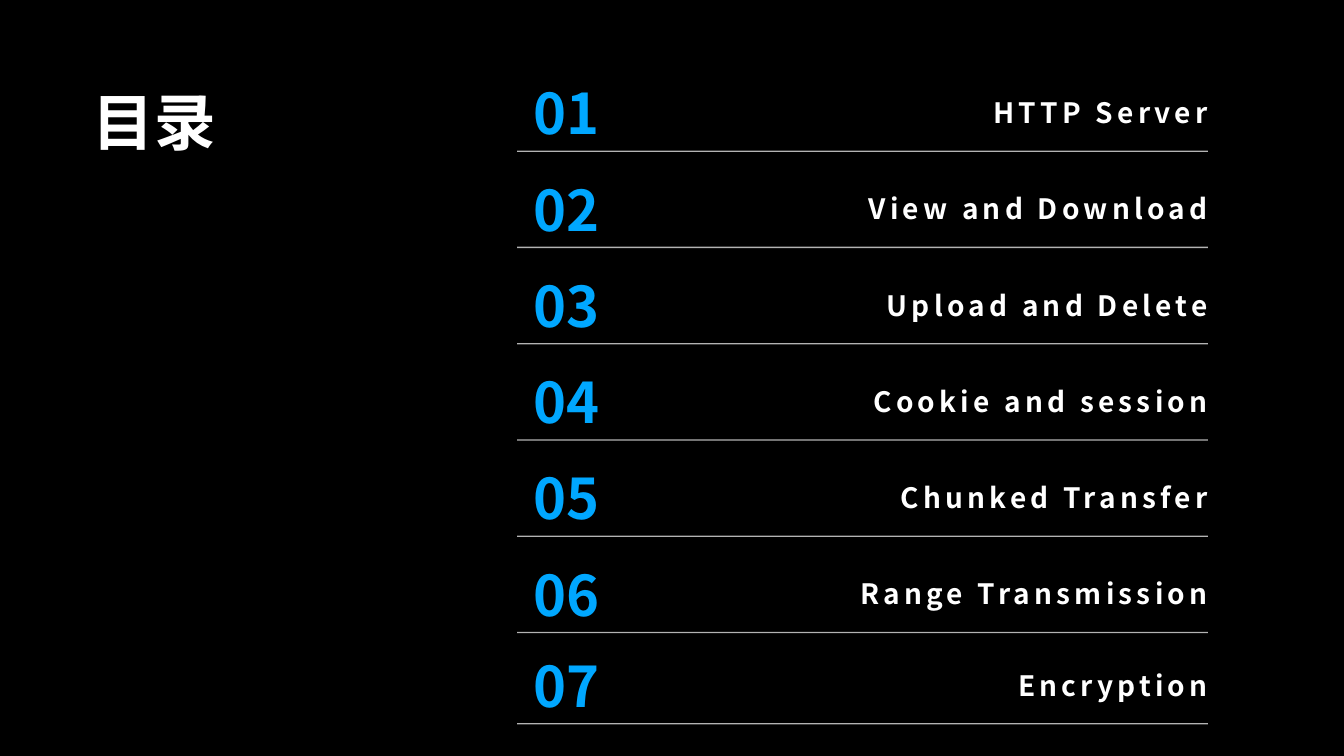
from lxml import etree
from pptx import Presentation
from pptx.dml.color import RGBColor
from pptx.enum.shapes import MSO_CONNECTOR
from pptx.enum.text import MSO_ANCHOR, MSO_AUTO_SIZE, PP_ALIGN
from pptx.oxml.ns import qn
from pptx.util import Inches, Pt

STRAIGHT = MSO_CONNECTOR.STRAIGHT
TOP, MIDDLE = MSO_ANCHOR.TOP, MSO_ANCHOR.MIDDLE
LEFT, RIGHT = PP_ALIGN.LEFT, PP_ALIGN.RIGHT
NO_FIT = MSO_AUTO_SIZE.NONE
TITLE_ONLY = 5

COLORS = {"background": "000000", "text": "FFFFFF", "number": "00A7FF"}
CJK_FONT = "Noto Sans CJK SC"
TOPICS = [
    "HTTP Server", "View and Download", "Upload and Delete",
    "Cookie and session", "Chunked Transfer", "Range Transmission",
    "Encryption",
]
ROW_PITCH = 0.955
LAST_ROW_LIFT = 0.05  # the last row sits slightly closer to its neighbour


def color(name):
    return RGBColor.from_string(COLORS[name])


def write(shape, text, *, size, fill="text", font=CJK_FONT, align=RIGHT,
          anchor=MIDDLE, spacing=0):
    frame = shape.text_frame
    frame.auto_size = NO_FIT
    frame.word_wrap = True
    frame.vertical_anchor = anchor
    frame.margin_left = frame.margin_right = 0
    frame.margin_top = frame.margin_bottom = 0
    para = frame.paragraphs[0]
    para.alignment = align
    span = para.add_run()
    span.text = text
    span.font.size = Pt(size)
    span.font.bold = True
    span.font.name = font
    span.font.color.rgb = color(fill)
    properties = span.font._element
    if spacing:
        properties.set("spc", str(spacing * 100))
    east_asian = etree.Element(qn("a:ea"), typeface=CJK_FONT)
    properties.find(qn("a:latin")).addnext(east_asian)


def add_text(page, box, text, **style):
    shape = page.shapes.add_textbox(*(Inches(length) for length in box))
    write(shape, text, **style)


def add_rule(page, left, right, y):
    rule = page.shapes.add_connector(
        STRAIGHT, Inches(left), Inches(y), Inches(right), Inches(y))
    rule.line.width = Pt(1)
    rule.line.color.rgb = color("text")
    properties = rule._element.spPr
    shade = properties.find(".//" + qn("a:srgbClr"))
    etree.SubElement(shade, qn("a:alpha"), val="70000")
    etree.SubElement(properties, qn("a:effectLst"))


def add_heading(page, box, text):
    title = page.shapes.title
    title.left, title.top, title.width, title.height = map(Inches, box)
    write(title, text, size=44, font="Arial", align=LEFT, anchor=TOP)


def add_topic(page, box, number, topic):
    left, top, width, height = box
    right = left + width
    # The number overhangs the rule on the left
    add_text(page, (left - 0.38, top, 1.2, height), f"{number:02d}",
             size=40, fill="number")
    add_text(page, (right - 4.6, top + 0.11, 4.6, 0.55), topic,
             size=20, spacing=3)
    add_rule(page, left, right, top + height)


def add_contents(page, box, topics):
    left, top, width, row_height = box
    for index, topic in enumerate(topics):
        row_top = top + index * ROW_PITCH
        if index == len(topics) - 1:
            row_top -= LAST_ROW_LIFT
        add_topic(page, (left, row_top, width, row_height), index + 1, topic)


def main():
    deck = Presentation()
    deck.slide_width, deck.slide_height = Inches(13.33), Inches(7.5)
    page = deck.slides.add_slide(deck.slide_layouts[TITLE_ONLY])
    page.background.fill.solid()
    page.background.fill.fore_color.rgb = color("background")
    add_heading(page, (0.92, 0.83, 3.15, 6.08), "目录")
    add_contents(page, (5.13, 0.73, 6.85, 0.77), TOPICS)
    deck.save("out.pptx")


if __name__ == "__main__":
    main()
